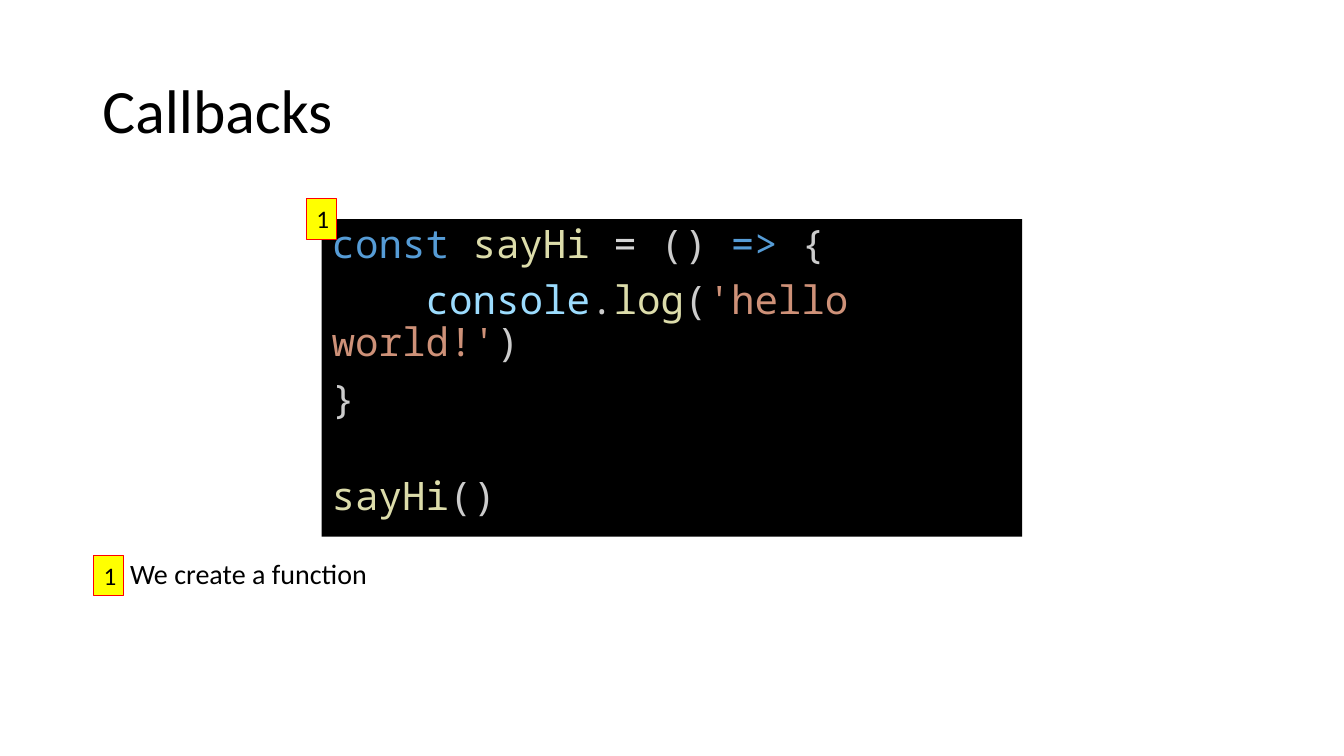
from typing import NamedTuple

import pptx
import pptx.dml.color
import pptx.enum.text
import pptx.oxml.xmlchemy
import pptx.util
from lxml import etree
from pptx.oxml import ns

Pt = pptx.util.Pt
RGBColor = pptx.dml.color.RGBColor
Align = pptx.enum.text.PP_ALIGN
Anchor = pptx.enum.text.MSO_ANCHOR
AutoSize = pptx.enum.text.MSO_AUTO_SIZE

BLACK = RGBColor(0x00, 0x00, 0x00)
YELLOW = RGBColor(0xFF, 0xFF, 0x00)
RED = RGBColor(0xFF, 0x00, 0x00)
KEYWORD = RGBColor(0x56, 0x9C, 0xD6)
FUNCTION = RGBColor(0xDC, 0xDC, 0xAA)
OPERATOR = RGBColor(0xD4, 0xD4, 0xD4)
PLAIN = RGBColor(0xCC, 0xCC, 0xCC)
VARIABLE = RGBColor(0x9C, 0xDC, 0xFE)
STRING = RGBColor(0xCE, 0x91, 0x78)

TEXT_FONT = "Calibri"
CODE_FONT = "Noto Sans Mono"
CODE_SIZE = 28
CODE_INDENT = 4 * 0.6 * CODE_SIZE  # four monospaced characters
PARAGRAPH_GAP = 10
BLANK_LINE_GAP = 39


class Box(NamedTuple):
    left: float
    top: float
    width: float
    height: float


class Token(NamedTuple):
    text: str
    color: RGBColor


class Line(NamedTuple):
    tokens: list[Token]
    indent: float = 0
    space_before: float = PARAGRAPH_GAP


CODE = [
    Line([Token("const ", KEYWORD), Token("sayHi ", FUNCTION), Token("=", OPERATOR),
          Token(" () ", PLAIN), Token("=>", KEYWORD), Token(" {", PLAIN)]),
    Line([Token("console", VARIABLE), Token(".", PLAIN), Token("log", FUNCTION),
          Token("(", PLAIN), Token("'hello world!'", STRING), Token(")", PLAIN)],
         indent=CODE_INDENT),
    Line([Token("}", PLAIN)]),
    Line([Token("sayHi", FUNCTION), Token("()", PLAIN)], space_before=BLANK_LINE_GAP),
]
NOTES = [Line([Token("1. We create a function", BLACK)])]
BADGES = [Box(218.9, 141.8, 21.2, 29), Box(67, 396.7, 21.2, 29)]


def place(shape, box: Box) -> None:
    shape.left, shape.top, shape.width, shape.height = (Pt(length) for length in box)


def add_run(paragraph, token: Token, font_name: str, size: float) -> None:
    run = paragraph.add_run()
    run.text = token.text
    run.font.name = font_name
    run.font.size = Pt(size)
    run.font.color.rgb = token.color


def fill_body(shape, box: Box, lines: list[Line], font_name: str, size: float) -> None:
    """Place a body placeholder and write its lines without bullets."""
    place(shape, box)
    frame = shape.text_frame
    frame.auto_size = AutoSize.NONE
    for index, line in enumerate(lines):
        paragraph = frame.add_paragraph() if index else frame.paragraphs[0]
        paragraph.line_spacing = 0.9
        paragraph.space_before = Pt(line.space_before)
        properties = paragraph._p.get_or_add_pPr()
        properties.set("marL", "0")
        properties.set("indent", str(int(Pt(line.indent))))
        etree.SubElement(properties, ns.qn("a:buNone"))
        for token in line.tokens:
            add_run(paragraph, token, font_name, size)


def add_badge(slide, box: Box, label: str) -> None:
    badge = slide.shapes.add_textbox(*(Pt(length) for length in box))
    badge.fill.solid()
    badge.fill.fore_color.rgb = YELLOW
    badge.line.color.rgb = RED
    badge.line.width = Pt(0.75)
    frame = badge.text_frame
    frame.word_wrap = True
    frame.auto_size = AutoSize.SHAPE_TO_FIT_TEXT
    add_run(frame.paragraphs[0], Token(label, BLACK), TEXT_FONT, 18)


presentation = pptx.Presentation()
presentation.slide_width = Pt(960)
presentation.slide_height = Pt(540)
slide = presentation.slides.add_slide(presentation.slide_layouts.get_by_name("Two Content"))
title, code, notes = slide.placeholders

# Title
place(title, Box(66, 28.8, 828, 104.4))
title.text_frame.auto_size = AutoSize.NONE
title.text_frame.vertical_anchor = Anchor.MIDDLE
heading = title.text_frame.paragraphs[0]
heading.alignment = Align.LEFT
heading.line_spacing = 0.9
add_run(heading, Token("Callbacks", BLACK), TEXT_FONT, 44)

# Code panel
code.fill.solid()
code.fill.fore_color.rgb = BLACK
fill_body(code, Box(229.7, 156.5, 500.4, 226.8), CODE, CODE_FONT, CODE_SIZE)

# Explanation
fill_body(notes, Box(66, 396.7, 828, 102.2), NOTES, TEXT_FONT, 20)

# Number badges on the code and its explanation
for badge_box in BADGES:
    add_badge(slide, badge_box, "1")

presentation.save("out.pptx")
